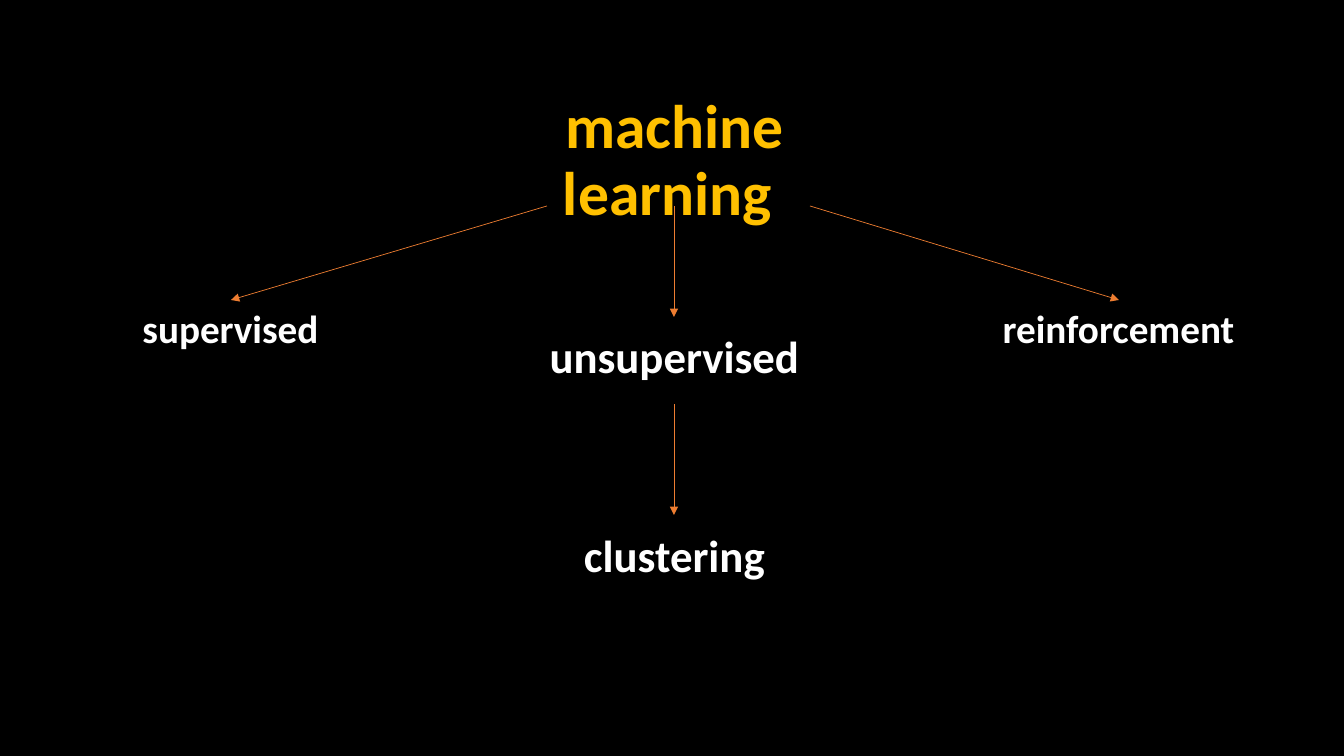
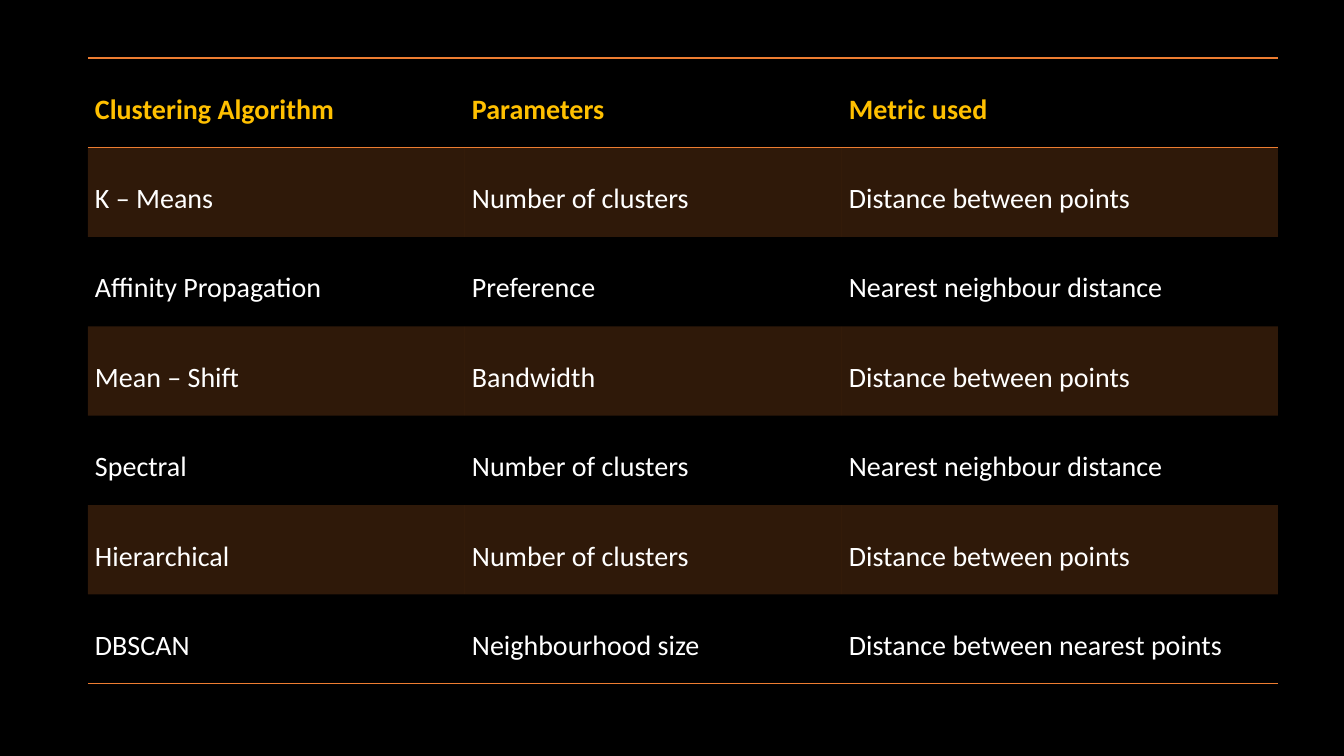
import pptx
import pptx.dml.color
import pptx.enum.shapes
import pptx.enum.text
import pptx.oxml
import pptx.oxml.ns
import pptx.util

RGB = pptx.dml.color.RGBColor
BLACK = RGB(0x00, 0x00, 0x00)
WHITE = RGB(0xFF, 0xFF, 0xFF)
GOLD = RGB(0xFF, 0xC0, 0x00)
ORANGE = RGB(0xED, 0x7D, 0x31)
FONT = "Calibri"
SCALE = 914400 / 100.8
NO_GRID = "{2D5ABB26-0587-4C30-8999-92F81FD0307C}"

WIDE, HIGH = 1344, 756
BOX = (461, 146)
TITLE = ("machine learning ", 444, 89, 44)
NODES = [
    ("reinforcement", 888, 258, 28),
    ("unsupervised", 444, 286, 32),
    ("supervised", 0, 258, 28),
    ("clustering", 444, 485, 32),
]
ARROWS = [
    (547, 206, 231, 300),
    (674, 206, 674, 317),
    (810, 206, 1119, 300),
    (674, 404, 674, 515),
]

TABLE = (88, 58, 626)
COLS = [377, 377, 436]
INSET = 7
ROWS = [
    ("Clustering Algorithm", "Parameters", "Metric used"),
    ("K – Means", "Number of clusters", "Distance between points"),
    ("Affinity Propagation", "Preference", "Nearest neighbour distance"),
    ("Mean – Shift", "Bandwidth", "Distance between points"),
    ("Spectral", "Number of clusters", "Nearest neighbour distance"),
    ("Hierarchical", "Number of clusters", "Distance between points"),
    ("DBSCAN", "Neighbourhood size", "Distance between nearest points"),
]


def px(size):
    return pptx.util.Emu(round(size * SCALE))


def add_xml(parent, tag, body=""):
    space = pptx.oxml.ns.nsdecls("a")
    parent.append(pptx.oxml.parse_xml(f"<a:{tag} {space}{body}"))


def style(para, size, color, bold, spacing):
    para.line_spacing = spacing
    font = para.font
    font.name = FONT
    font.size = pptx.util.Pt(size)
    font.bold = bold
    font.color.rgb = color


def set_label(shape, item, color):
    text, left, top, size = item
    shape.left, shape.top = px(left), px(top)
    shape.width, shape.height = map(px, BOX)
    frame = shape.text_frame
    frame.text = text
    frame.word_wrap = True
    frame.auto_size = pptx.enum.text.MSO_AUTO_SIZE.NONE
    frame.vertical_anchor = pptx.enum.text.MSO_ANCHOR.MIDDLE
    para = frame.paragraphs[0]
    para.alignment = pptx.enum.text.PP_ALIGN.CENTER
    style(para, size, color, True, 0.9)


def add_arrow(slide, ends):
    kind = pptx.enum.shapes.MSO_CONNECTOR.STRAIGHT
    arrow = slide.shapes.add_connector(kind, *map(px, ends))
    arrow.line.color.rgb = ORANGE
    arrow.line.width = pptx.util.Pt(0.5)
    add_xml(arrow.line._get_or_add_ln(), "tailEnd", ' type="triangle"/>')
    add_xml(arrow._element.spPr, "effectLst", "/>")


def add_tree(deck):
    slide = deck.slides.add_slide(deck.slide_layouts[5])
    set_label(slide.shapes.title, TITLE, GOLD)
    for node in NODES:
        set_label(slide.shapes.add_textbox(0, 0, 0, 0), node, WHITE)
    for ends in ARROWS:
        add_arrow(slide, ends)


def set_cell(cell, text, row):
    head = row == 0
    cell.text = text
    cell.margin_left = cell.margin_right = px(INSET)
    cell.margin_top = cell.margin_bottom = 0
    style(cell.text_frame.paragraphs[0], 20, GOLD if head else WHITE, head, 2.0)
    props = cell._tc.get_or_add_tcPr()
    sides = {0: ("lnT", "lnB"), len(ROWS) - 1: ("lnB",)}
    for side in sides.get(row, ()):
        paint = f'<a:solidFill><a:srgbClr val="{ORANGE}"/></a:solidFill>'
        add_xml(props, side, f' w="12700">{paint}</a:{side}>')
    if row % 2:
        cell.fill.solid()
        cell.fill.fore_color.rgb = ORANGE
        tint = props.find(".//" + pptx.oxml.ns.qn("a:solidFill"))[0]
        add_xml(tint, "alpha", ' val="20000"/>')
    else:
        cell.fill.background()


def add_grid(deck):
    slide = deck.slides.add_slide(deck.slide_layouts[6])
    left, top, high = TABLE
    frame = slide.shapes.add_table(
        len(ROWS), len(COLS), px(left), px(top), px(sum(COLS)), px(high)
    )
    mark = pptx.oxml.ns.qn("a:tableStyleId")
    frame._element.find(".//" + mark).text = NO_GRID
    table = frame.table
    table.first_row = table.horz_banding = False
    for col, width in zip(table.columns, COLS):
        col.width = px(width)
    for row, texts in enumerate(ROWS):
        table.rows[row].height = px(high / len(ROWS))
        for col, text in enumerate(texts):
            set_cell(table.cell(row, col), text, row)


def main():
    deck = pptx.Presentation()
    deck.slide_width, deck.slide_height = px(WIDE), px(HIGH)
    back = deck.slide_master.background.fill
    back.solid()
    back.fore_color.rgb = BLACK
    add_tree(deck)
    add_grid(deck)
    deck.save("out.pptx")


if __name__ == "__main__":
    main()
